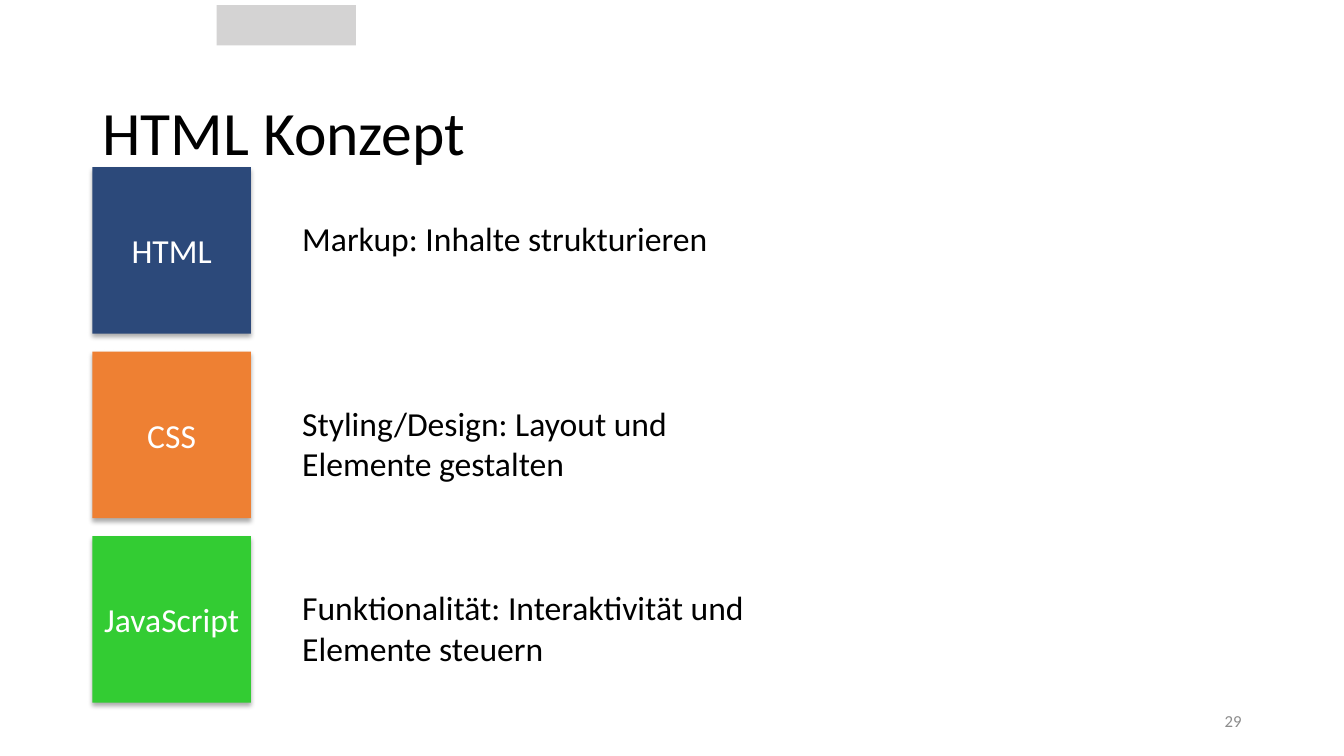
from lxml import etree
from pptx import Presentation
from pptx.dml.color import RGBColor
from pptx.enum import shapes, text
from pptx.oxml import ns
from pptx.util import Pt

# Content
TITLE = "HTML Konzept"
PAGE_NUMBER = "29"
LAYERS = [
    ("HTML", "html", "Markup: Inhalte strukturieren", 36),
    ("CSS", "css", "Styling/Design: Layout und Elemente gestalten", 65.4),
    ("JavaScript", "javascript", "Funktionalität: Interaktivität und Elemente steuern", 65.4),
]

# Look
COLORS = {
    "html": "2C497A", "css": "EE8033", "javascript": "33CC33",
    "text": "000000", "white": "FFFFFF", "number": "8C8C8C",
    "header": "D4D3D3", "shadow": "000000",
}
FONT = "Calibri"

# Layout in points
BOX_LEFT, BOX_TOP, BOX_WIDTH, BOX_HEIGHT = 66, 119.4, 113.2, 119
ROW_STEP = 131.75
LABEL_LEFT, LABEL_OFFSET, LABEL_WIDTH = 208.8, 33, 340


def write(shape, words, size, color, align, anchor):
    frame = shape.text_frame
    frame.word_wrap = True
    frame.auto_size = text.MSO_AUTO_SIZE.NONE
    frame.vertical_anchor = anchor
    paragraph = frame.paragraphs[0]
    paragraph.alignment = align
    run = paragraph.add_run()
    run.text = words
    run.font.name = FONT
    run.font.size = Pt(size)
    run.font.color.rgb = RGBColor.from_string(COLORS[color])
    return paragraph


def add_text(slide, box, words, size, color, align, anchor):
    shape = slide.shapes.add_textbox(*map(Pt, box))
    write(shape, words, size, color, align, anchor)


def add_rectangle(slide, box, color):
    shape = slide.shapes.add_shape(shapes.MSO_SHAPE.RECTANGLE, *map(Pt, box))
    shape.fill.solid()
    shape.fill.fore_color.rgb = RGBColor.from_string(COLORS[color])
    shape.line.fill.background()
    shape.shadow.inherit = False
    return shape


def add_drop_shadow(shape):
    effects = shape.element.spPr.find(ns.qn("a:effectLst"))
    shadow = etree.SubElement(
        effects, ns.qn("a:outerShdw"), blurRad=str(Pt(3.5)), dist=str(Pt(2.2)),
        dir="5400000", rotWithShape="0")
    color = etree.SubElement(shadow, ns.qn("a:srgbClr"), val=COLORS["shadow"])
    etree.SubElement(color, ns.qn("a:alpha"), val="32000")


def main():
    left, center, right = text.PP_ALIGN.LEFT, text.PP_ALIGN.CENTER, text.PP_ALIGN.RIGHT
    top, middle = text.MSO_ANCHOR.TOP, text.MSO_ANCHOR.MIDDLE

    presentation = Presentation()
    presentation.slide_width, presentation.slide_height = Pt(960), Pt(540)
    slide = presentation.slides.add_slide(presentation.slide_layouts[5])

    # Header block
    add_rectangle(slide, (154.8, 3.6, 99.4, 28.8), "header")

    # Title
    title = slide.shapes.title
    title.left, title.top, title.width, title.height = map(Pt, (66, 36, 828, 97.2))
    paragraph = write(title, TITLE, 44, "text", left, middle)
    paragraph.line_spacing = 0.9
    title.text_frame.margin_top = Pt(28)

    # Page number
    add_text(slide, (678, 500.5, 216, 28.8), PAGE_NUMBER, 12, "number", right, middle)

    # One coloured box and one explanation per layer
    for row, (name, color, purpose, label_height) in enumerate(LAYERS):
        row_top = BOX_TOP + row * ROW_STEP
        box = add_rectangle(slide, (BOX_LEFT, row_top, BOX_WIDTH, BOX_HEIGHT), color)
        add_drop_shadow(box)
        write(box, name, 24, "white", center, middle)
        add_text(slide, (LABEL_LEFT, row_top + LABEL_OFFSET, LABEL_WIDTH, label_height),
                 purpose, 24, "text", left, top)

    presentation.save("out.pptx")


if __name__ == "__main__":
    main()
